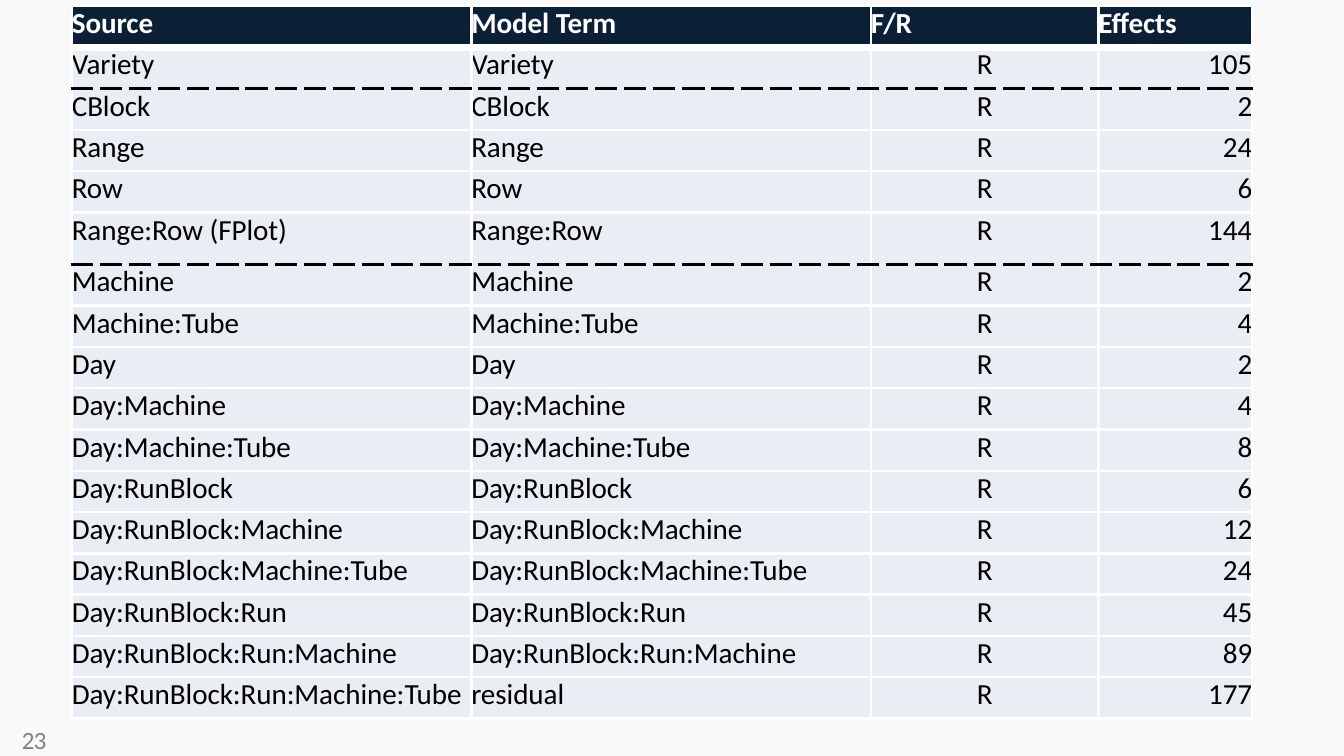
from lxml.etree import SubElement
from pptx import Presentation
from pptx.dml.color import RGBColor
from pptx.enum.text import MSO_ANCHOR, PP_ALIGN
from pptx.oxml.ns import qn
from pptx.util import Inches, Pt

COLORS = {
    "background": "F9F9F9",
    "header": "0B2036",
    "body": "E9EDF4",
    "white": "FFFFFF",
    "black": "000000",
    "number": "7F7F7F",
}
HEADER = ("Source", "Model Term", "F/R", "Effects")
TERMS = [  # source, model term, effects
    ("Variety", "Variety", 105),
    ("CBlock", "CBlock", 2),
    ("Range", "Range", 24),
    ("Row", "Row", 6),
    ("Range:Row (FPlot)", "Range:Row", 144),
    ("Machine", "Machine", 2),
    ("Machine:Tube", "Machine:Tube", 4),
    ("Day", "Day", 2),
    ("Day:Machine", "Day:Machine", 4),
    ("Day:Machine:Tube", "Day:Machine:Tube", 8),
    ("Day:RunBlock", "Day:RunBlock", 6),
    ("Day:RunBlock:Machine", "Day:RunBlock:Machine", 12),
    ("Day:RunBlock:Machine:Tube", "Day:RunBlock:Machine:Tube", 24),
    ("Day:RunBlock:Run", "Day:RunBlock:Run", 45),
    ("Day:RunBlock:Run:Machine", "Day:RunBlock:Run:Machine", 89),
    ("Day:RunBlock:Run:Machine:Tube", "residual", 177),
]
ROWS = [HEADER] + [(source, term, "R", str(n)) for source, term, n in TERMS]
COL_WIDTHS = (2, 2, 1.14, 0.77)
ALIGNS = (PP_ALIGN.LEFT, PP_ALIGN.LEFT, PP_ALIGN.CENTER, PP_ALIGN.RIGHT)
LEFT, TOP, HEIGHT = 0.36, 0.03, 3.57
TALL_ROW, TALL_HEIGHT = 5, 0.26
DASHED_BELOW = (1, 5)
SOLID = ("white", 1, "solid")
THICK = ("white", 3, "solid")
DASHED = ("black", 1, "sysDash")
NO_MARGINS = dict.fromkeys(
    ("margin_left", "margin_right", "margin_top", "margin_bottom"), 0)


def set_attrs(obj, values):
    for name, value in values.items():
        setattr(obj, name, value)


def rgb(name):
    return RGBColor.from_string(COLORS[name])


def style_font(font, color, **values):
    set_attrs(font, values)
    font.color.rgb = rgb(color)


def rule_below(row):
    if row == 0:
        return THICK
    return DASHED if row in DASHED_BELOW else SOLID


def add_border(cell, side, color, width, dash):
    ln = SubElement(cell._tc.get_or_add_tcPr(), qn(f"a:ln{side}"), w=str(Pt(width)))
    fill = SubElement(ln, qn("a:solidFill"))
    SubElement(fill, qn("a:srgbClr"), val=COLORS[color])
    SubElement(ln, qn("a:prstDash"), val=dash)


def fill_cell(cell, text, row, col):
    is_header = row == 0
    borders = {"L": SOLID, "R": SOLID,
               "T": SOLID if is_header else rule_below(row - 1),
               "B": rule_below(row)}
    for side, border in borders.items():
        add_border(cell, side, *border)
    cell.fill.solid()
    cell.fill.fore_color.rgb = rgb("header" if is_header else "body")
    set_attrs(cell, {**NO_MARGINS, "vertical_anchor": MSO_ANCHOR.TOP})
    p = cell.text_frame.paragraphs[0]
    p.alignment = PP_ALIGN.LEFT if is_header else ALIGNS[col]
    r = p.add_run()
    r.text = text
    style_font(r.font, "white" if is_header else "black",
               name="Calibri", size=Pt(10.5), bold=is_header)


def add_effects_table(s):
    frame = s.shapes.add_table(len(ROWS), len(HEADER), Inches(LEFT), Inches(TOP),
                               Inches(sum(COL_WIDTHS)), Inches(HEIGHT))
    table = frame.table
    for column, width in zip(table.columns, COL_WIDTHS):
        column.width = Inches(width)
    row_height = (HEIGHT - TALL_HEIGHT) / (len(ROWS) - 1)
    for i, texts in enumerate(ROWS):
        table.rows[i].height = Inches(TALL_HEIGHT if i == TALL_ROW else row_height)
        for j, text in enumerate(texts):
            fill_cell(table.cell(i, j), text, i, j)


def add_page_number(s):
    sp = s.shapes.add_textbox(Inches(0.06), Inches(3.64), Inches(0.23), Inches(0.13))
    set_attrs(sp.text_frame, {**NO_MARGINS, "margin_left": Inches(0.05),
                              "word_wrap": True})
    r = sp.text_frame.paragraphs[0].add_run()
    r.text = "23"
    style_font(r.font, "number", name="Lato", size=Pt(8))
    r.font._element.set("spc", "-30")


def main():
    prs = Presentation()
    prs.slide_width, prs.slide_height = Pt(484.5), Pt(272.5)
    s = prs.slides.add_slide(prs.slide_layouts[6])
    s.background.fill.solid()
    s.background.fill.fore_color.rgb = rgb("background")
    add_effects_table(s)
    add_page_number(s)
    prs.save("out.pptx")


if __name__ == "__main__":
    main()
